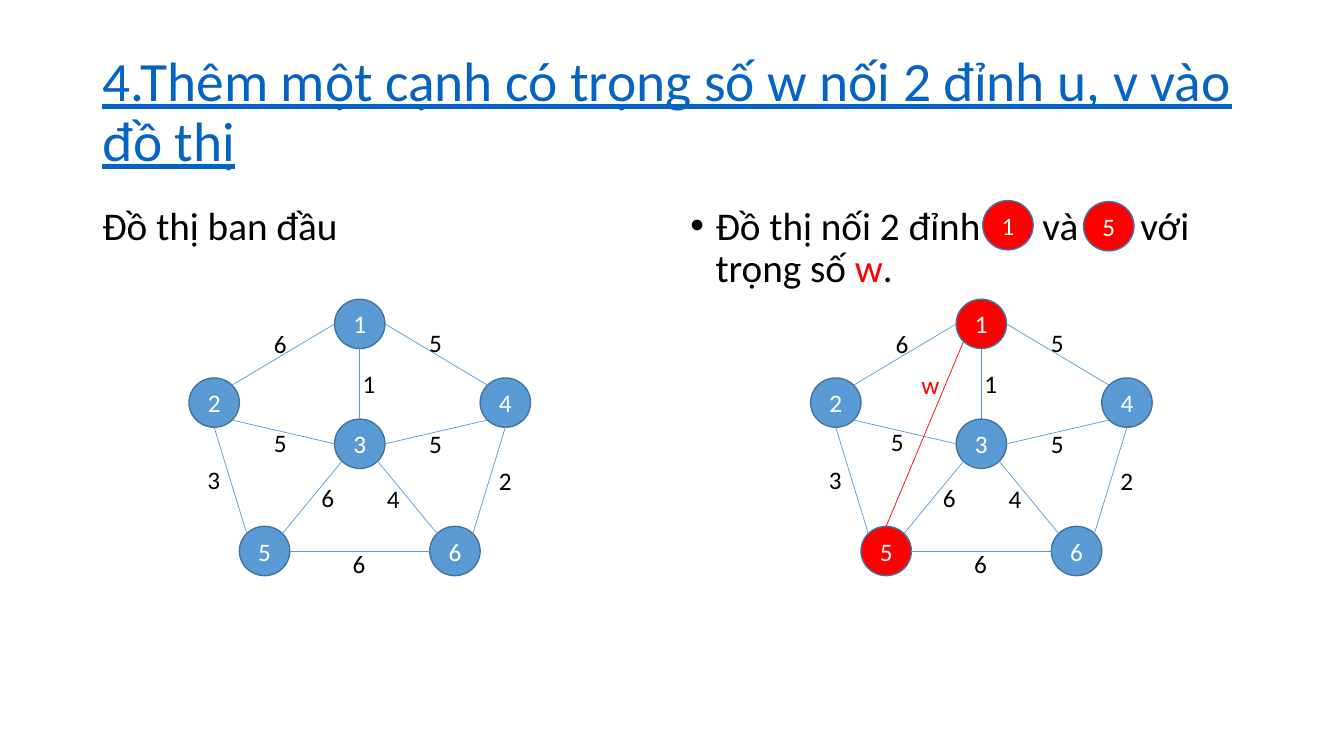
import math
import pptx
import pptx.util
import pptx.dml.color
import pptx.enum.shapes
import pptx.enum.text
import lxml.etree

Pt = pptx.util.Pt
ALIGN = pptx.enum.text.PP_ALIGN
ANCHOR = pptx.enum.text.MSO_ANCHOR
AUTOSIZE = pptx.enum.text.MSO_AUTO_SIZE
COLORS = {"text": "000000", "title": "0563C1", "node": "5B9BD5",
          "outline": "43739E", "accent": "FF0000", "white": "FFFFFF"}

deck = pptx.Presentation()
deck.slide_width, deck.slide_height = Pt(960), Pt(540)
page = deck.slides.add_slide(deck.slide_layouts[5])


def rgb(name):
    return pptx.dml.color.RGBColor.from_string(COLORS[name])


def add_span(para, text, size, color):
    span = para.add_run()
    span.text = text
    span.font.name = "Calibri"
    span.font.size = Pt(size)
    span.font.color.rgb = rgb(color)
    return span


title = page.shapes.title
title.left, title.top, title.width, title.height = Pt(66), Pt(28.75), Pt(828), Pt(104.4)
title.text_frame.word_wrap = True
title.text_frame.auto_size = AUTOSIZE.NONE
title.text_frame.vertical_anchor = ANCHOR.MIDDLE
para = title.text_frame.paragraphs[0]
para.alignment = ALIGN.LEFT
para.line_spacing = 0.9
add_span(para, "4.Thêm một cạnh có trọng số w nối 2 đỉnh u, v vào đồ thị", 39.6, "title").font.underline = True

captions = [
    (66, [("Đồ thị ban đầu", "text")]),
    (486, [("Đồ thị nối 2 đỉnh", "text"), (" ", "text"), ("và", "text"), (" ", "text"),
           ("với trọng số ", "text"), ("w", "accent"), (".", "text")]),
]
for left, spans in captions:
    box = page.shapes.add_textbox(Pt(left), Pt(143.75), Pt(408), Pt(342.6))
    box.text_frame.word_wrap = True
    para = box.text_frame.paragraphs[0]
    para.line_spacing = 0.9
    para.space_before = Pt(10)
    for text, color in spans:
        span = add_span(para, text, 28, color)
        if text == " ":
            span._r.get_or_add_rPr().set("spc", "3800")

props = para._p.get_or_add_pPr()
props.set("marL", str(Pt(18)))
props.set("indent", str(-Pt(18)))
namespace = "{http://schemas.openxmlformats.org/drawingml/2006/main}"
lxml.etree.SubElement(props, namespace + "buFont").set("typeface", "Arial")
lxml.etree.SubElement(props, namespace + "buChar").set("char", "•")

NODE_W, NODE_H = 36, 35.2
SITES = {"E": 0, "SE": 45, "S": 90, "SW": 135, "W": 180, "NW": 225, "N": 270, "NE": 315}
centers = {"1": (257, 231.4), "3": (257, 317), "4": (361, 287.6),
           "6": (325, 393.6), "5": (189, 393.6), "2": (153, 287.6)}
edges = [("2", "NE", "1", "W"), ("1", "E", "4", "NW"), ("4", "S", "6", "NE"),
         ("2", "S", "5", "NW"), ("5", "E", "6", "W"), ("1", "S", "3", "N"),
         ("2", "SE", "3", "W"), ("3", "E", "4", "SW"), ("3", "SE", "6", "NW"),
         ("3", "SW", "5", "NE")]
weights = [("6", 188.6, 231), ("5", 299.5, 230.4), ("3", 141, 328.3), ("1", 252, 259.2),
           ("6", 222.5, 340.6), ("4", 269.3, 342), ("5", 299.5, 302.4),
           ("6", 244.8, 388), ("2", 349.2, 329)]
new_edge = ("1", "SW", "5", "N")
graphs = [
    (0, [], edges, weights + [("5", 188.6, 301.7)]),
    (444, ["1", "5"], edges + [new_edge], weights + [("5", 185.2, 301), ("w", 207, 260)]),
]

nodes = [("1", 720, 160.9, "accent"), ("5", 792, 161.6, "accent")]
for shift, marked, links, labels in graphs:
    for name, (x, y) in centers.items():
        nodes.append((name, x + shift, y, "accent" if name in marked else "node"))

for name, x, y, color in nodes:
    node = page.shapes.add_shape(pptx.enum.shapes.MSO_SHAPE.OVAL, Pt(x - NODE_W / 2),
                                 Pt(y - NODE_H / 2), Pt(NODE_W), Pt(NODE_H))
    node.shadow.inherit = False
    node.fill.solid()
    node.fill.fore_color.rgb = rgb(color)
    node.line.color.rgb = rgb("outline")
    node.line.width = Pt(1)
    frame = node.text_frame
    frame.margin_left = frame.margin_right = 0
    frame.vertical_anchor = ANCHOR.MIDDLE
    frame.paragraphs[0].alignment = ALIGN.CENTER
    add_span(frame.paragraphs[0], name, 18, "white")

for shift, marked, links, labels in graphs:
    for link in links:
        ends = []
        for name, site in (link[:2], link[2:]):
            x, y = centers[name]
            angle = math.radians(SITES[site])
            ends += [Pt(x + shift + NODE_W / 2 * math.cos(angle)),
                     Pt(y + NODE_H / 2 * math.sin(angle))]
        edge = page.shapes.add_connector(pptx.enum.shapes.MSO_CONNECTOR.STRAIGHT, *ends)
        edge.line.color.rgb = rgb("accent" if link == new_edge else "node")
        edge.line.width = Pt(0.5)
        lxml.etree.SubElement(edge._element.spPr, namespace + "effectLst")

    for text, left, top in labels:
        box = page.shapes.add_textbox(Pt(left + shift), Pt(top), Pt(27.4 if text == "w" else 23.8), Pt(29))
        box.text_frame.word_wrap = False
        box.text_frame.auto_size = AUTOSIZE.SHAPE_TO_FIT_TEXT
        add_span(box.text_frame.paragraphs[0], text, 18, "accent" if text == "w" else "text")

deck.save("out.pptx")
